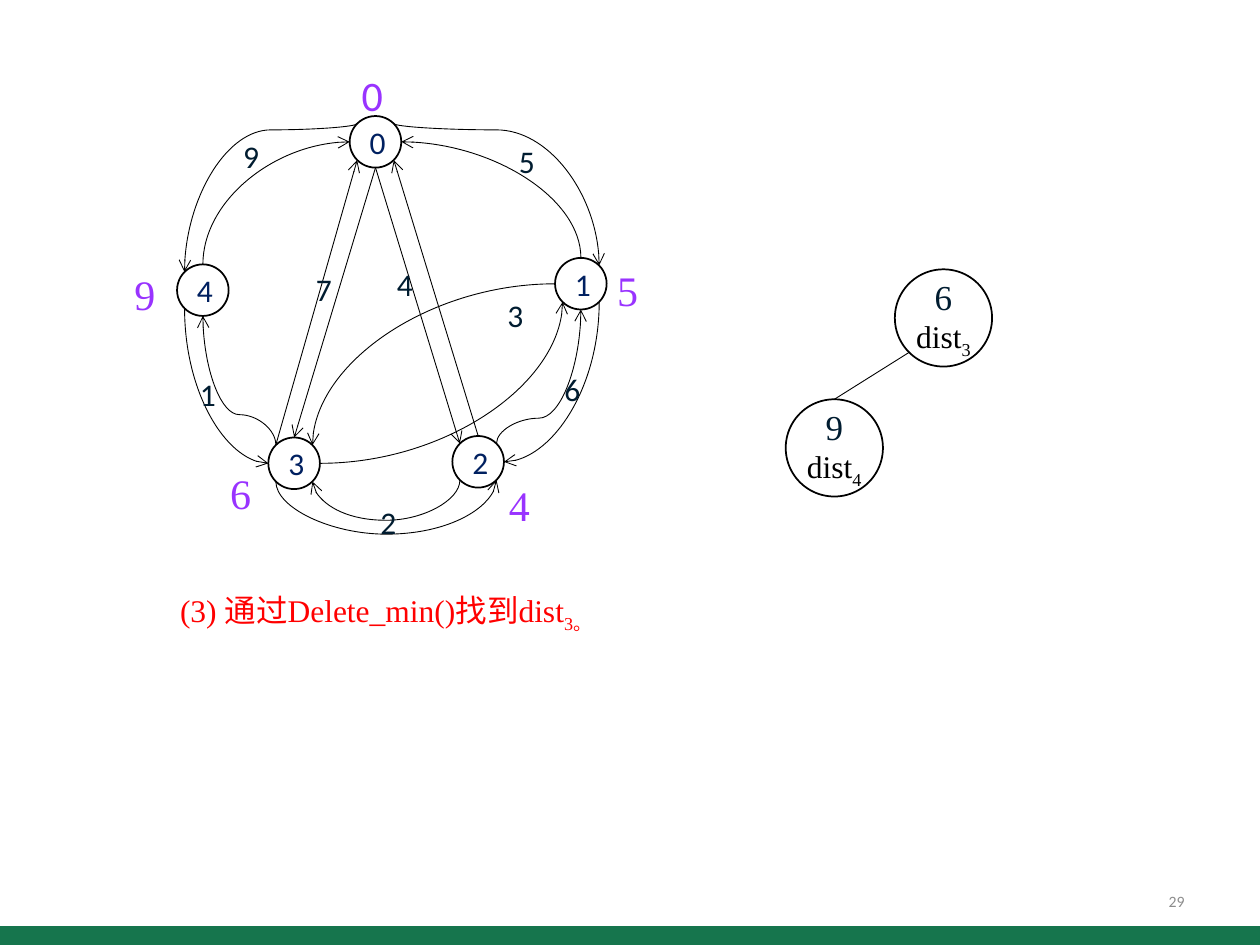
import pptx
import pptx.util
import pptx.dml.color
import pptx.enum.shapes
import pptx.enum.text
import pptx.oxml.ns
from lxml import etree

Cm = pptx.util.Cm
qn = pptx.oxml.ns.qn
kinds = pptx.enum.shapes.MSO_SHAPE
lines = pptx.enum.shapes.MSO_CONNECTOR
align = pptx.enum.text.PP_ALIGN
middle = pptx.enum.text.MSO_ANCHOR.MIDDLE

hues = {"bar": "16754D", "page": "8C8C8C", "ink": "000000", "node": "002060",
        "cost": "001C30", "dist": "9933FF", "note": "FF0000"}
sans, serif = "Calibri", "Times New Roman"


def say(frame, text, size=18, hue="ink", font=sans, side=align.LEFT, base=None):
    para = frame.paragraphs[0]
    para.alignment = side
    run = para.add_run()
    run.text = text
    run.font.size = pptx.util.Pt(size)
    run.font.name = font
    run.font.color.rgb = pptx.dml.color.RGBColor.from_string(hues[hue])
    if base:
        run.font._element.set("baseline", str(base * 1000))


def join(start, end, turn=0, bend=None, tip=None):
    (ax, ay), (bx, by) = start, end
    dx, dy = bx - ax, by - ay
    mx, my = (ax + bx) / 2, (ay + by) / 2
    w, h = {0: (dx, dy), 90: (dy, -dx), 180: (-dx, -dy), 270: (-dy, dx)}[turn]
    link = slide.shapes.add_connector(
        lines.CURVE if turn else lines.STRAIGHT,
        Cm(mx - w / 2), Cm(my - h / 2), Cm(mx + w / 2), Cm(my + h / 2))
    link.line.width = pptx.util.Pt(0.5)
    link.line.color.rgb = pptx.dml.color.RGBColor.from_string(hues["ink"])
    props = link._element.spPr
    if turn:
        props.find(qn("a:xfrm")).set("rot", str(turn * 60000))
        geom = props.find(qn("a:prstGeom"))
        if bend is None:
            geom.set("prst", "curvedConnector2")
        else:
            guide = etree.SubElement(geom.find(qn("a:avLst")), qn("a:gd"))
            guide.set("name", "adj1")
            guide.set("fmla", f"val {round((bend - ay) / dy * 100000)}")
    if tip:
        etree.SubElement(props.find(qn("a:ln")), qn(f"a:{tip}End")).set("type", "arrow")
    etree.SubElement(props, qn("a:effectLst"))


deck = pptx.Presentation()
deck.slide_width, deck.slide_height = Cm(25.4), Cm(19.05)
slide = deck.slides.add_slide(deck.slide_layouts[6])

bar = slide.shapes.add_shape(kinds.RECTANGLE, 0, Cm(18.67), Cm(25.4), Cm(0.38))
bar.shadow.inherit = False
bar.fill.solid()
bar.fill.fore_color.rgb = pptx.dml.color.RGBColor.from_string(hues["bar"])
bar.line.fill.background()

discs = {
    "0": (7.57, 2.86, 0.52), "4": (4.09, 5.85, 0.52), "3": (5.93, 9.34, 0.52),
    "2": (9.64, 9.31, 0.52), "1": (11.71, 5.72, 0.52),
    "6": (19.02, 6.41, 0.98), "9": (16.82, 9.03, 0.98),
}
heap = {"6": "3", "9": "4"}
diag = 0.71
ways = {"n": (0, -1), "ne": (diag, -diag), "e": (1, 0), "se": (diag, diag),
        "s": (0, 1), "sw": (-diag, diag), "w": (-1, 0), "nw": (-diag, -diag)}
ports = {}
for name, (x, y, r) in discs.items():
    disc = slide.shapes.add_shape(kinds.OVAL, Cm(x - r), Cm(y - r), Cm(2 * r), Cm(2 * r))
    disc.shadow.inherit = False
    disc.fill.background()
    disc.line.width = pptx.util.Pt(1)
    disc.line.color.rgb = pptx.dml.color.RGBColor.from_string(hues["ink"])
    frame = disc.text_frame
    frame.vertical_anchor = middle
    if name in heap:
        frame.margin_left = frame.margin_right = frame.margin_top = frame.margin_bottom = 0
        say(frame, name, size=20, hue="cost", font=serif, side=align.CENTER)
        frame.paragraphs[0].add_line_break()
        say(frame, "dist", font=serif, side=align.CENTER)
        say(frame, heap[name], font=serif, side=align.CENTER, base=-25)
    else:
        say(frame, name, hue="node", side=align.CENTER)
    for way, (dx, dy) in ways.items():
        ports[name + way] = (x + r * dx, y + r * dy)

for start, end, turn, bend, tip in [
    ("0nw", "4nw", 270, 2.62, "tail"), ("3w", "4sw", 180, None, "head"),
    ("1ne", "0ne", 270, 2.62, "head"), ("2se", "3sw", 90, 10.77, "head"),
    ("1se", "2e", 90, None, "tail"), ("2nw", "0s", 0, None, "head"),
    ("3n", "0s", 0, None, "head"), ("1w", "3ne", 180, None, "tail"),
    ("2sw", "3se", 90, 10.49, "tail"), ("1sw", "3e", 90, None, "head"),
    ("3nw", "4s", 270, 8.36, "tail"), ("1s", "2ne", 90, 8.43, "head"),
    ("0w", "4n", 180, None, "head"), ("1n", "0e", 270, None, "tail"),
    ("3nw", "0sw", 0, None, "tail"), ("2n", "0se", 0, None, "tail"),
    ("9n", "6sw", 0, None, None),
]:
    join(ports[start], ports[end], turn, bend, tip)

cost = {"hue": "cost"}
dist = {"hue": "dist", "size": 24, "font": serif}
for text, x, y, look in [
    ("9", 4.65, 2.64, cost), ("5", 10.21, 2.74, cost), ("4", 7.75, 5.21, cost),
    ("7", 6.12, 5.31, cost), ("1", 3.78, 7.44, cost), ("2", 7.42, 10.01, cost),
    ("3", 9.98, 5.84, cost), ("6", 11.13, 7.34, cost),
    ("0", 7.04, 1.27, {**dist, "font": sans}), ("5", 12.19, 5.21, dist),
    ("4", 10.01, 9.55, dist), ("6", 4.39, 9.3, dist), ("9", 2.46, 5.28, dist),
]:
    wide, high = (0.86, 1.02) if look is cost else (0.95, 1.27)
    label = slide.shapes.add_textbox(Cm(x), Cm(y), Cm(wide), Cm(high))
    label.text_frame.word_wrap = False
    say(label.text_frame, text, **look)

note = slide.shapes.add_textbox(Cm(3.38), Cm(11.79), Cm(10.11), Cm(1.02)).text_frame
note.word_wrap = True
say(note, "(3) 通过Delete_min()找到dist", hue="note", font=serif)
say(note, "3。", hue="note", font=serif, base=-25)

page = slide.shapes.add_textbox(Cm(18.21), Cm(17.65), Cm(5.92), Cm(1.02)).text_frame
page.word_wrap = True
page.vertical_anchor = middle
say(page, "29", size=9, hue="page", side=align.RIGHT)

deck.save("out.pptx")
